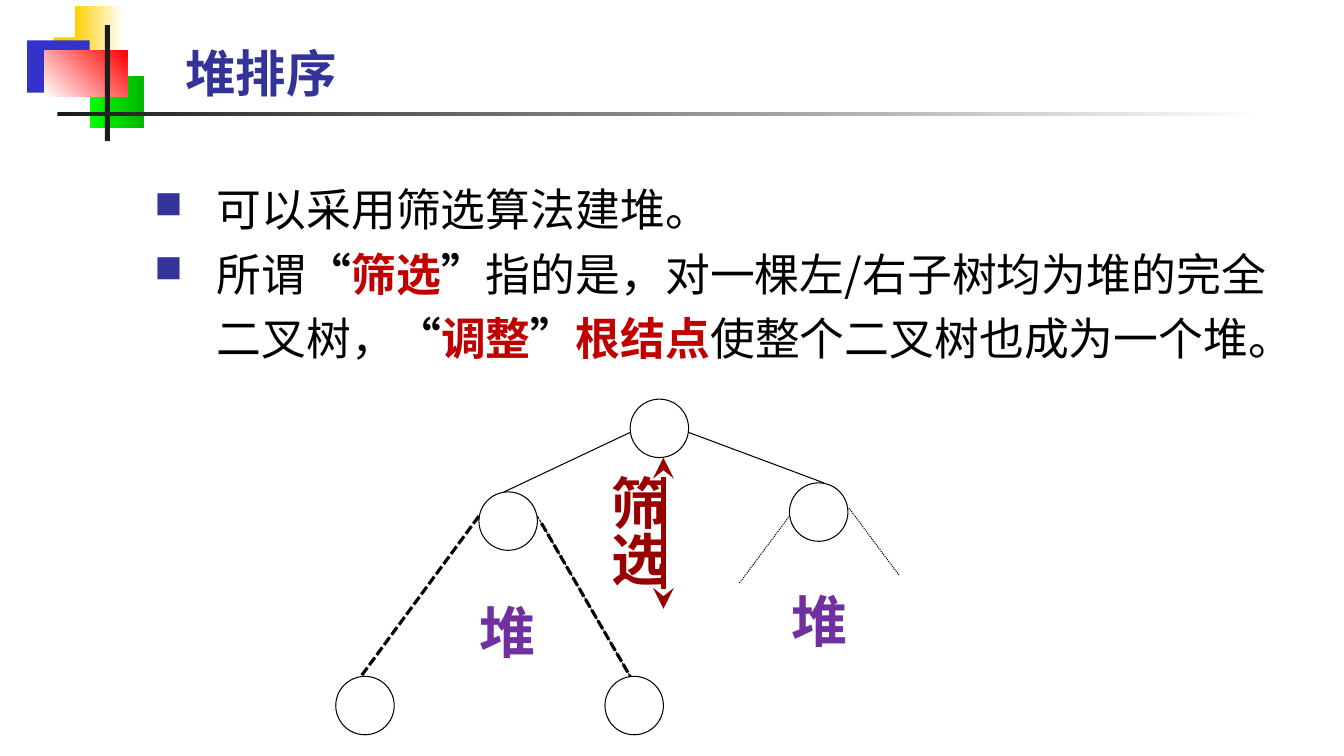
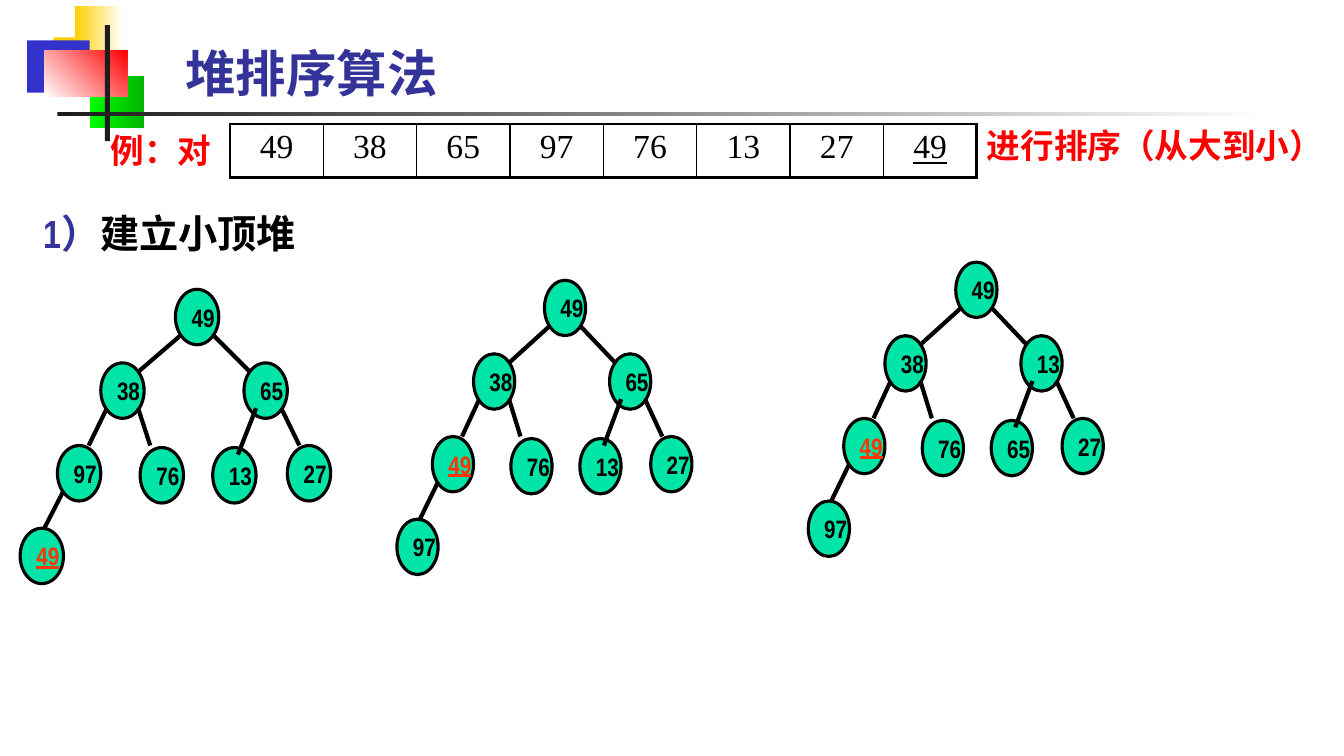
from lxml.etree import SubElement
from pptx import Presentation
from pptx.dml.color import RGBColor
from pptx.enum.dml import MSO_LINE
from pptx.enum.shapes import MSO_CONNECTOR, MSO_SHAPE
from pptx.enum.text import MSO_ANCHOR, MSO_AUTO_SIZE, PP_ALIGN
from pptx.oxml.ns import qn
from pptx.util import Inches, Pt

# Colours and text formats
BLACK = RGBColor(0x00, 0x00, 0x00)
WHITE = RGBColor(0xFF, 0xFF, 0xFF)
CHARCOAL = RGBColor(0x1C, 0x1C, 0x1C)
YELLOW = RGBColor(0xFF, 0xCF, 0x01)
BLUE = RGBColor(0x33, 0x33, 0xCC)
LIME = RGBColor(0x00, 0xFF, 0x00)
GREEN = RGBColor(0x00, 0xB6, 0x00)
RED = RGBColor(0xFF, 0x00, 0x00)
NAVY = RGBColor(0x33, 0x33, 0x99)
EMPHASIS = RGBColor(0xC0, 0x00, 0x00)
PURPLE = RGBColor(0x70, 0x30, 0xA0)
MAROON = RGBColor(0x99, 0x00, 0x00)
MINT = RGBColor(0x00, 0xE4, 0xA8)
ORANGE = RGBColor(0xFF, 0x33, 0x00)

CJK = "Noto Sans CJK SC"
NARROW = "Arial Narrow"
TITLE = {"name": NARROW, "size": Pt(36), "bold": True}
BODY = {"name": CJK, "size": Pt(32), "bold": False}
BODY_BOLD = {**BODY, "bold": True}
HEAP = {"name": CJK, "size": Pt(40), "bold": True}
SIFT = {**HEAP, "name": NARROW}
STEP = {"name": NARROW, "size": Pt(28), "bold": True}
EXAMPLE = {**STEP, "size": Pt(24)}
KEY = {**STEP, "size": Pt(18)}
KEY_MARKED = {**KEY, "underline": True}
CELL = {"name": "Times New Roman", "size": Pt(24)}
CELL_MARKED = {**CELL, "underline": True}


def add_run(paragraph, text, text_format, color):
    run = paragraph.add_run()
    run.text = text
    for attribute, value in text_format.items():
        setattr(run.font, attribute, value)
    run.font.color.rgb = color
    SubElement(run.font._element, qn("a:ea")).set("typeface", CJK)


def add_line(shapes, start, end, width, color=BLACK, dash=None):
    points = [Inches(value) for value in (*start, *end)]
    connector = shapes.add_connector(MSO_CONNECTOR.STRAIGHT, *points)
    connector.line.width = Pt(width)
    connector.line.color.rgb = color
    if dash:
        connector.line.dash_style = dash
    SubElement(connector._element.spPr, qn("a:effectLst"))
    return connector


presentation = Presentation()
presentation.slide_width = Inches(13.33)
presentation.slide_height = Inches(7.5)
layouts = presentation.slide_layouts
sift_slide = presentation.slides.add_slide(layouts[1])
sort_slide = presentation.slides.add_slide(layouts[5])

# Ornament and rule, moved to the slide master
ornament = [
    ((0.53, 0.37, 0.64, 0.52), [YELLOW], 0),
    ((0.74, 0.06, 0.48, 0.52), [YELLOW, WHITE], 0),
    ((0.27, 0.4, 0.62, 0.52), [BLUE], 0),
    ((0.89, 0.75, 0.54, 0.52), [LIME, GREEN], 0),
    ((0.44, 0.5, 0.82, 0.46), [WHITE, RED], 45),
    ((1.04, 0.25, 0.05, 1.15), [CHARCOAL], 0),
    ((0.57, 1.11, 12, 0.04), [CHARCOAL, WHITE], 0),
]
master_tree = presentation.slide_master.shapes._spTree
for index, (box, colors, angle) in enumerate(ornament):
    shape = sift_slide.shapes.add_shape(MSO_SHAPE.RECTANGLE, *map(Inches, box))
    shape.shadow.inherit = False
    shape.line.fill.background()
    if len(colors) == 1:
        shape.fill.solid()
        shape.fill.fore_color.rgb = colors[0]
    else:
        shape.fill.gradient()
        shape.fill.gradient_angle = angle
        for stop, color, position in zip(shape.fill.gradient_stops, colors, (0, 1)):
            stop.color.rgb = color
            stop.position = position
    master_tree.insert(2 + index, shape._element)

# Titles
for slide, text, width in ((sift_slide, "堆排序", 3.69), (sort_slide, "堆排序算法", 4.9)):
    title = slide.shapes.title
    title.left, title.top = Inches(1.74), Inches(0.37)
    title.width, title.height = Inches(width), Inches(0.71)
    title.text_frame.auto_size = MSO_AUTO_SIZE.NONE
    title.text_frame.vertical_anchor = MSO_ANCHOR.TOP
    paragraph = title.text_frame.paragraphs[0]
    paragraph.alignment = PP_ALIGN.LEFT
    add_run(paragraph, text, TITLE, NAVY)

# Sifting: bullet list
body = sift_slide.placeholders[1]
body.left, body.top = Inches(1.43), Inches(1.65)
body.width, body.height = Inches(11.36), Inches(1.95)
body.text_frame.auto_size = MSO_AUTO_SIZE.NONE
bullets = [
    [("可以采用筛选算法建堆。", BODY, BLACK)],
    [
        ("所谓", BODY, BLACK),
        ("“", BODY_BOLD, BLACK),
        ("筛选", BODY_BOLD, EMPHASIS),
        ("”", BODY_BOLD, BLACK),
        ("指的是，对一棵左/右子树均为堆的完全二叉树，", BODY, BLACK),
        ("“", BODY_BOLD, BLACK),
        ("调整", BODY_BOLD, EMPHASIS),
        ("”", BODY_BOLD, BLACK),
        ("根结点", BODY_BOLD, EMPHASIS),
        ("使整个二叉树也成为一个堆。", BODY, BLACK),
    ],
]
for index, runs in enumerate(bullets):
    paragraph = body.text_frame.add_paragraph() if index else body.text_frame.paragraphs[0]
    paragraph.line_spacing = 1.2
    paragraph.space_before = Pt(0)
    properties = paragraph._p.get_or_add_pPr()
    properties.set("marL", str(Inches(0.62)))
    properties.set("indent", str(-Inches(0.62)))
    bullet_color = SubElement(properties, qn("a:buClr"))
    SubElement(bullet_color, qn("a:srgbClr")).set("val", str(NAVY))
    SubElement(properties, qn("a:buSzPct")).set("val", "85000")
    SubElement(properties, qn("a:buFont"), typeface="Wingdings", charset="2")
    SubElement(properties, qn("a:buChar")).set("char", "n")
    for run in runs:
        add_run(paragraph, *run)

# Sifting: tree diagram
for left, top in ((6.25, 3.96), (4.75, 4.88), (7.83, 4.79), (3.33, 6.71), (6, 6.71)):
    node = sift_slide.shapes.add_shape(
        MSO_SHAPE.OVAL, Inches(left), Inches(top), Inches(0.58), Inches(0.58))
    node.shadow.inherit = False
    node.fill.background()
    node.line.color.rgb = BLACK
    node.line.width = Pt(0.75)

DASH, DOT = MSO_LINE.SQUARE_DOT, MSO_LINE.ROUND_DOT
for start, end, width, dash in (
    ((6.25, 4.29), (5, 4.88), 0.75, None),
    ((6.83, 4.29), (8.17, 4.79), 0.75, None),
    ((4.75, 5.12), (3.58, 6.71), 2.25, DASH),
    ((5.33, 5.12), (6.25, 6.71), 0.75, DASH),
    ((5.37, 5.19), (6.25, 6.71), 2.25, DASH),
    ((7.83, 5.12), (7.33, 5.79), 0.75, DOT),
    ((8.42, 5.04), (8.92, 5.71), 0.75, DOT),
):
    add_line(sift_slide.shapes, start, end, width, dash=dash)

sift_arrow = add_line(sift_slide.shapes, (6.58, 4.54), (6.58, 6.04), 3, MAROON)
for end_name in ("a:headEnd", "a:tailEnd"):
    SubElement(sift_arrow.line._get_or_add_ln(), qn(end_name), type="stealth", w="lg", len="lg")

# Sorting: table of keys
keys = ["49", "38", "65", "97", "76", "13", "27", "49"]
table = sort_slide.shapes.add_table(
    1, len(keys), Inches(2.28), Inches(1.23), Inches(7.41), Inches(0.53)).table
table.first_row = False
table.horz_banding = False
last = len(keys) - 1
for column, key in enumerate(keys):
    cell = table.cell(0, column)
    paragraph = cell.text_frame.paragraphs[0]
    paragraph.alignment = PP_ALIGN.CENTER
    add_run(paragraph, key, CELL_MARKED if column == last else CELL, BLACK)
    borders = {
        "a:lnL": 1 if column else 2.25,
        "a:lnR": 2.25 if column == last else 1,
        "a:lnT": 2.25,
        "a:lnB": 2.25,
    }
    properties = cell._tc.get_or_add_tcPr()
    for side, width in borders.items():
        border = SubElement(properties, qn(side), w=str(Pt(width)))
        border_fill = SubElement(border, qn("a:solidFill"))
        SubElement(border_fill, qn("a:srgbClr")).set("val", str(BLACK))
    cell.fill.background()

# Sorting: heap trees, with offsets from the root node
node_offsets = [
    (0, 0), (-0.74, 0.73), (0.68, 0.73), (-1.17, 1.55),
    (-0.35, 1.57), (0.37, 1.57), (1.11, 1.55), (-1.54, 2.37),
]
edge_offsets = [
    ((0.06, 0.45), (-0.37, 0.82)),
    ((0.37, 0.45), (0.74, 0.82)),
    ((-0.68, 1.18), (-0.86, 1.55)),
    ((-0.37, 1.18), (-0.25, 1.55)),
    ((0.8, 1.18), (0.62, 1.64)),
    ((1.05, 1.18), (1.23, 1.55)),
    ((-1.11, 2), (-1.3, 2.37)),
]
# Root left, root top, horizontal scale, keys by level, index of the marked key
trees = [
    (1.74, 2.87, 1, keys, 7),
    (5.4, 2.78, 0.95, ["49", "38", "65", "49", "76", "13", "27", "97"], 3),
    (9.48, 2.6, 0.95, ["49", "38", "13", "49", "76", "65", "27", "97"], 3),
]
for root_left, root_top, scale, tree_keys, marked in trees:
    tree = sort_slide.shapes.add_group_shape()
    for index, (key, (x, y)) in enumerate(zip(tree_keys, node_offsets)):
        node = tree.shapes.add_shape(
            MSO_SHAPE.OVAL, Inches(root_left + x * scale), Inches(root_top + y),
            Inches(0.43 * scale), Inches(0.55))
        node.shadow.inherit = False
        node.fill.solid()
        node.fill.fore_color.rgb = MINT
        node.line.color.rgb = BLACK
        node.line.width = Pt(2.25)
        node.text_frame.word_wrap = False
        node.text_frame.vertical_anchor = MSO_ANCHOR.MIDDLE
        paragraph = node.text_frame.paragraphs[0]
        paragraph.alignment = PP_ALIGN.LEFT
        if index == marked:
            add_run(paragraph, key, KEY_MARKED, ORANGE)
        else:
            add_run(paragraph, key, KEY, BLACK)
    for edge in edge_offsets:
        start, end = [(root_left + x * scale, root_top + y) for x, y in edge]
        add_line(tree.shapes, start, end, 3)

# Labels on both slides
labels = [
    (sift_slide, (4.66, 5.88, 0.76, 0.77), [("堆", HEAP, PURPLE)], False, None),
    (sift_slide, (7.75, 5.77, 0.76, 0.77), [("堆", HEAP, PURPLE)], False, None),
    (sift_slide, (5.83, 4.62, 0.88, 1.68), [("筛选", SIFT, MAROON)], True, "eaVert"),
    (sort_slide, (0.33, 2.03, 3.61, 0.57),
     [("1）", STEP, NAVY), ("建立小顶堆", STEP, BLACK)], True, None),
    (sort_slide, (1, 1.24, 1.69, 0.5), [("例：对", EXAMPLE, RED)], True, None),
    (sort_slide, (9.69, 1.19, 3.64, 0.5), [("进行排序（从大到小）", EXAMPLE, RED)], True, None),
]
for slide, box, runs, wrap, direction in labels:
    frame = slide.shapes.add_textbox(*map(Inches, box)).text_frame
    frame.word_wrap = wrap
    if direction:
        frame._txBody.bodyPr.set("vert", direction)
    for run in runs:
        add_run(frame.paragraphs[0], *run)

presentation.save("out.pptx")
